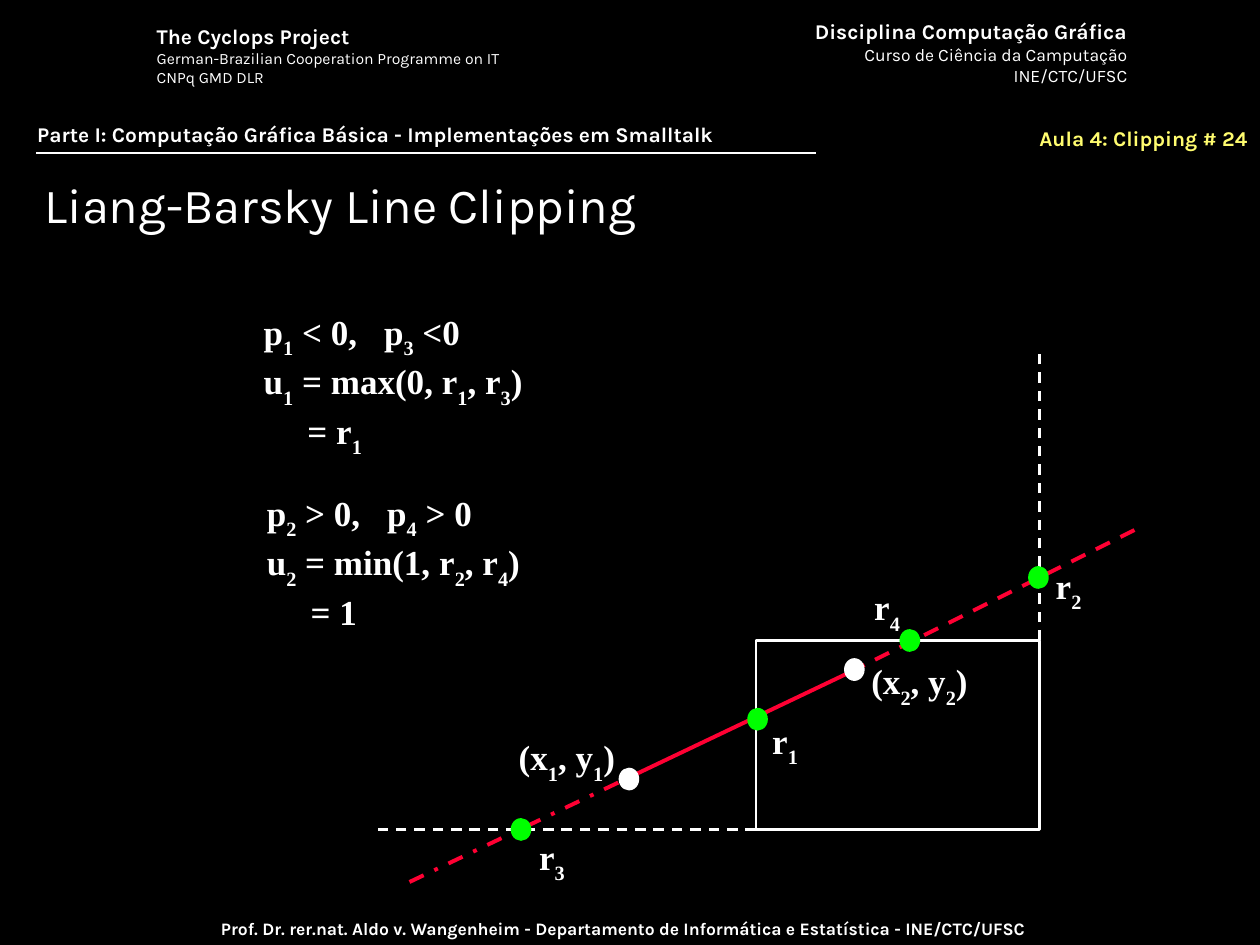
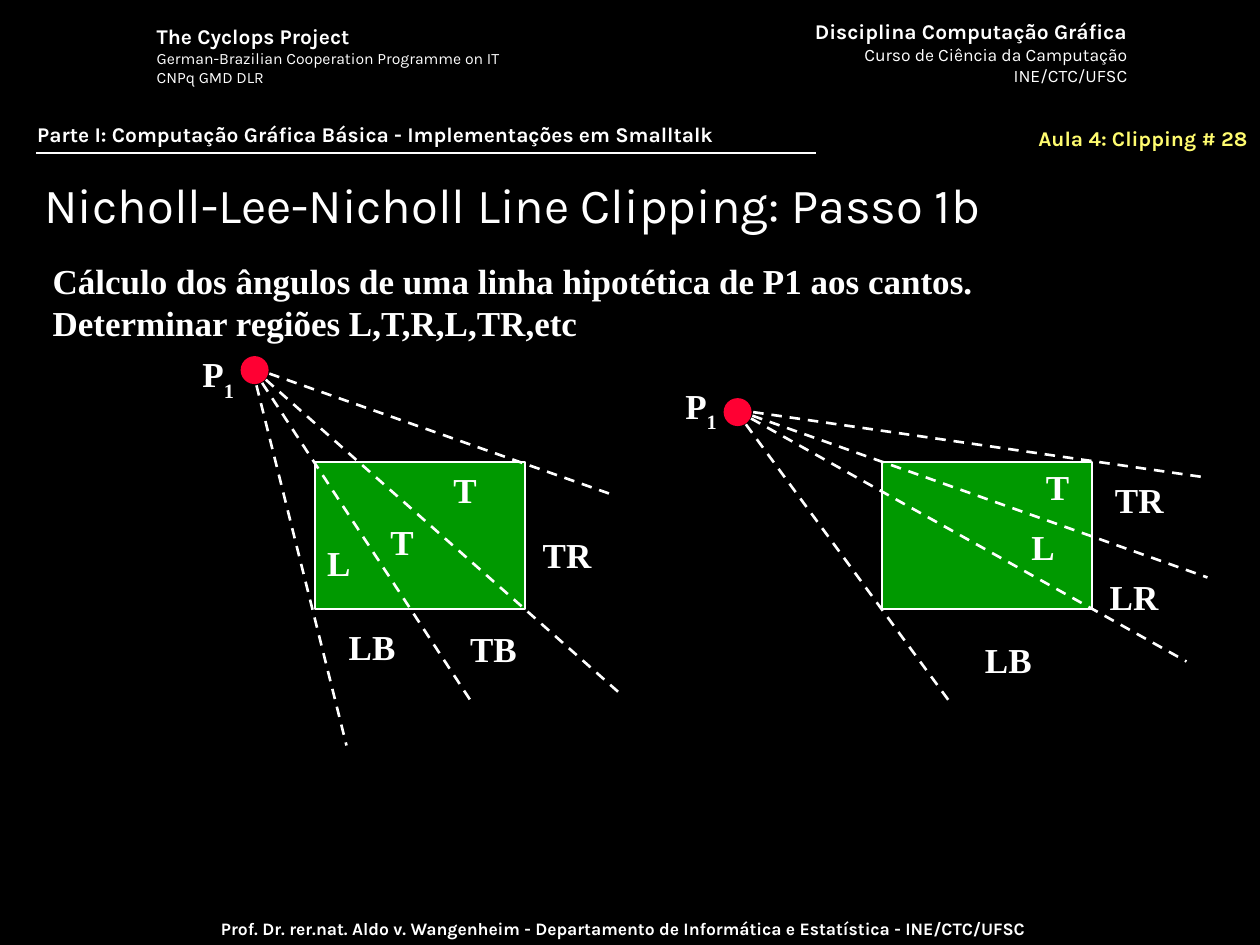
from lxml.etree import SubElement
from pptx import Presentation
from pptx.dml.color import RGBColor
from pptx.enum.dml import MSO_LINE
from pptx.enum.shapes import MSO_CONNECTOR, MSO_SHAPE
from pptx.enum.text import MSO_ANCHOR, MSO_AUTO_SIZE, PP_ALIGN
from pptx.oxml.ns import qn
from pptx.util import Pt

WHITE, BLACK, YELLOW = "FFFFFF", "000000", "FFFC6F"
RED, LIME, GREEN = "FF0033", "00FF00", "009900"
SANS, SERIF = "Karla", "Times New Roman"
LEFT, MID, RIGHT = PP_ALIGN.LEFT, PP_ALIGN.CENTER, PP_ALIGN.RIGHT
DASH, DOTTED = MSO_LINE.DASH, MSO_LINE.DASH_DOT


def color(code):
    return RGBColor.from_string(code)


def fill_runs(para, text):
    """Add runs; the character after each underscore is a subscript."""
    first, *rest = text.split("_")
    if first:
        para.add_run().text = first
    for part in rest:
        low = para.add_run()
        low.text = part[0]
        low._r.get_or_add_rPr().set("baseline", "-30000")
        if part[1:]:
            para.add_run().text = part[1:]


def add_text(shapes, box, lines, size=20, font=SERIF, bold=True, tint=WHITE,
             align=LEFT, wrap=False, small=None, indent=0, tab=0):
    """Lines after the first are light when small is set; indent is for the last."""
    shape = shapes.add_textbox(*map(Pt, box))
    frame = shape.text_frame
    frame.word_wrap = wrap
    frame.auto_size = MSO_AUTO_SIZE.SHAPE_TO_FIT_TEXT
    for row, text in enumerate(lines):
        para = frame.add_paragraph() if row else frame.paragraphs[0]
        para.alignment = align
        props = para._p.get_or_add_pPr()
        if indent and row == len(lines) - 1:
            props.set("marL", str(Pt(indent)))
        if "\t" in text:
            stops = SubElement(props, qn("a:tabLst"))
            SubElement(stops, qn("a:tab"), pos=str(Pt(tab)), algn="l")
        minor = small and row
        para.font.name = font
        para.font.size = Pt(small if minor else size)
        para.font.bold = bold and not minor
        para.font.color.rgb = color(tint)
        fill_runs(para, text)
    return shape


def add_line(shapes, start, end, tint=WHITE, width=1.5, dash=None):
    line = shapes.add_connector(MSO_CONNECTOR.STRAIGHT, *map(Pt, start + end))
    line.line.color.rgb = color(tint)
    line.line.width = Pt(width)
    if dash:
        line.line.dash_style = dash
    SubElement(line._element.spPr, qn("a:effectLst"))


def add_form(shapes, kind, box, fill=None, edge=WHITE, width=1.5):
    shape = shapes.add_shape(kind, *map(Pt, box))
    shape.shadow.inherit = False
    if fill:
        shape.fill.solid()
        shape.fill.fore_color.rgb = color(fill)
    else:
        shape.fill.background()
    shape.line.color.rgb = color(edge)
    shape.line.width = Pt(width)


def add_dot(shapes, left, top, wide, high, tint):
    add_form(shapes, MSO_SHAPE.OVAL, (left, top, wide, high), tint, tint, 1)


def add_page(deck, number, title):
    """Make a slide with the shared header, footer and title."""
    slide = deck.slides.add_slide(deck.slide_layouts[6])
    slide.background.fill.solid()
    slide.background.fill.fore_color.rgb = color(BLACK)
    shapes = slide.shapes
    add_text(shapes, (450, 7.2, 201.2, 46),
             ["Disciplina Computação Gráfica", "Curso de Ciência da Camputação",
              "INE/CTC/UFSC"], 12, SANS, align=RIGHT, small=10)
    add_text(shapes, (82.5, 10.1, 224, 43.2),
             ["The Cyclops Project", "German-Brazilian Cooperation Programme on IT",
              "CNPq GMD DLR"], 12, SANS, small=9)
    add_text(shapes, (38, 521, 635.8, 19),
             ["Prof. Dr. rer.nat. Aldo v. Wangenheim - Departamento de "
              "Informática e Estatística - INE/CTC/UFSC"],
             10, SANS, align=MID, wrap=True)
    add_line(shapes, (20.6, 87.4), (466.4, 87.4), width=1)
    add_text(shapes, (546.5, 68.1, 173.5, 23.8), [f"Aula 4: Clipping # {number}"],
             12, SANS, tint=YELLOW, align=RIGHT, wrap=True)
    add_text(shapes, (14.2, 65.9, 684, 21.6),
             ["Parte I: Computação Gráfica Básica - Implementações em Smalltalk"],
             12, SANS, wrap=True)
    head = add_text(shapes, (18.4, 92.9, 676.8, 46.8), [title], 28, SANS,
                    bold=False, wrap=True)
    head.text_frame.auto_size = MSO_AUTO_SIZE.NONE
    head.text_frame.vertical_anchor = MSO_ANCHOR.MIDDLE
    return shapes


def add_clip(page):
    """Draw the clip window, the clipped line and its crossings."""
    shapes = page.add_group_shape().shapes
    add_form(shapes, MSO_SHAPE.RECTANGLE, (432, 366, 162, 108))
    add_line(shapes, (594, 366), (594, 198), dash=DASH)
    add_line(shapes, (432, 474), (216, 474), dash=DASH)
    add_line(shapes, (360, 444), (486, 384), RED, 2.25)
    add_line(shapes, (234, 504), (360, 444), RED, 2.25, DOTTED)
    add_line(shapes, (486, 384), (654, 300), RED, 2.25, DASH)
    for left, top, tint in [(354, 439.2, WHITE), (482.8, 376.6, WHITE),
                            (588, 324, LIME), (514.5, 360, LIME),
                            (427.5, 405, LIME), (292.3, 468, LIME)]:
        add_dot(shapes, left, top, 10.8, 12, tint)


def add_fan(page, left, eye, ends, labels):
    """Draw a window seen from P1; labels give text, centre and top."""
    shapes = page.add_group_shape().shapes
    add_form(shapes, MSO_SHAPE.RECTANGLE, (left, 264, 120, 84), GREEN)
    for end in ends:
        add_line(shapes, eye, end, dash=DASH)
    add_dot(shapes, eye[0] - 6, eye[1] - 6, 15, 15, RED)
    for text, center, top in labels:
        wide = 30 if len(text) == 1 else 46
        add_text(shapes, (center - wide / 2, top, wide, 31.7), [text], align=MID)


def main():
    deck = Presentation()
    deck.slide_width, deck.slide_height = Pt(720), Pt(540)

    page = add_page(deck, 24, "Liang-Barsky Line Clipping")
    add_clip(page)
    for text, x, y in [("(x_1, y_1)", 284.5, 416.9), ("(x_2, y_2)", 486, 373.4)]:
        add_text(page, (x, y, 74, 36), [text], align=RIGHT)
    for text, x, y in [("r_3", 301, 473.8), ("r_1", 434.2, 407.5),
                       ("r_4", 492.5, 331.2), ("r_2", 596.2, 319)]:
        add_text(page, (x, y, 33, 36), [text])
    add_text(page, (143.6, 173.8, 168, 92.2),
             ["p_1 < 0,\tp_3 <0", "u_1 = max(0, r_1, r_3)", "= r_1"],
             indent=25, tab=68.8)
    add_text(page, (145.4, 277.2, 165, 87.8),
             ["p_2 > 0,\tp_4 > 0", "u_2 = min(1, r_2, r_4)", "= 1"],
             indent=25, tab=68.8)

    page = add_page(deck, 28, "Nicholl-Lee-Nicholl Line Clipping: Passo 1b")
    add_fan(page, 180, (144, 210),
            [(348, 282), (354, 396), (270, 402), (198, 426)],
            [("P_1", 124.7, 198), ("T", 229.8, 294), ("T", 265.8, 264),
             ("L", 193.7, 306), ("LB", 212.6, 354), ("TB", 282, 355),
             ("TR", 324, 301.2)])
    add_fan(page, 504, (420, 234),
            [(690, 273), (690, 330), (678, 378), (544.3, 403.2)],
            [("P_1", 400.6, 216), ("L", 596.1, 296.6), ("T", 604.3, 262.4),
             ("TR", 651, 270), ("LR", 648, 325.4), ("LB", 576.2, 361.4)])
    add_text(page, (23, 144.7, 546, 55.4),
             ["Cálculo dos ângulos de uma linha hipotética de P1 aos cantos.",
              "Determinar regiões L,T,R,L,TR,etc"])
    deck.save("out.pptx")


if __name__ == "__main__":
    main()
